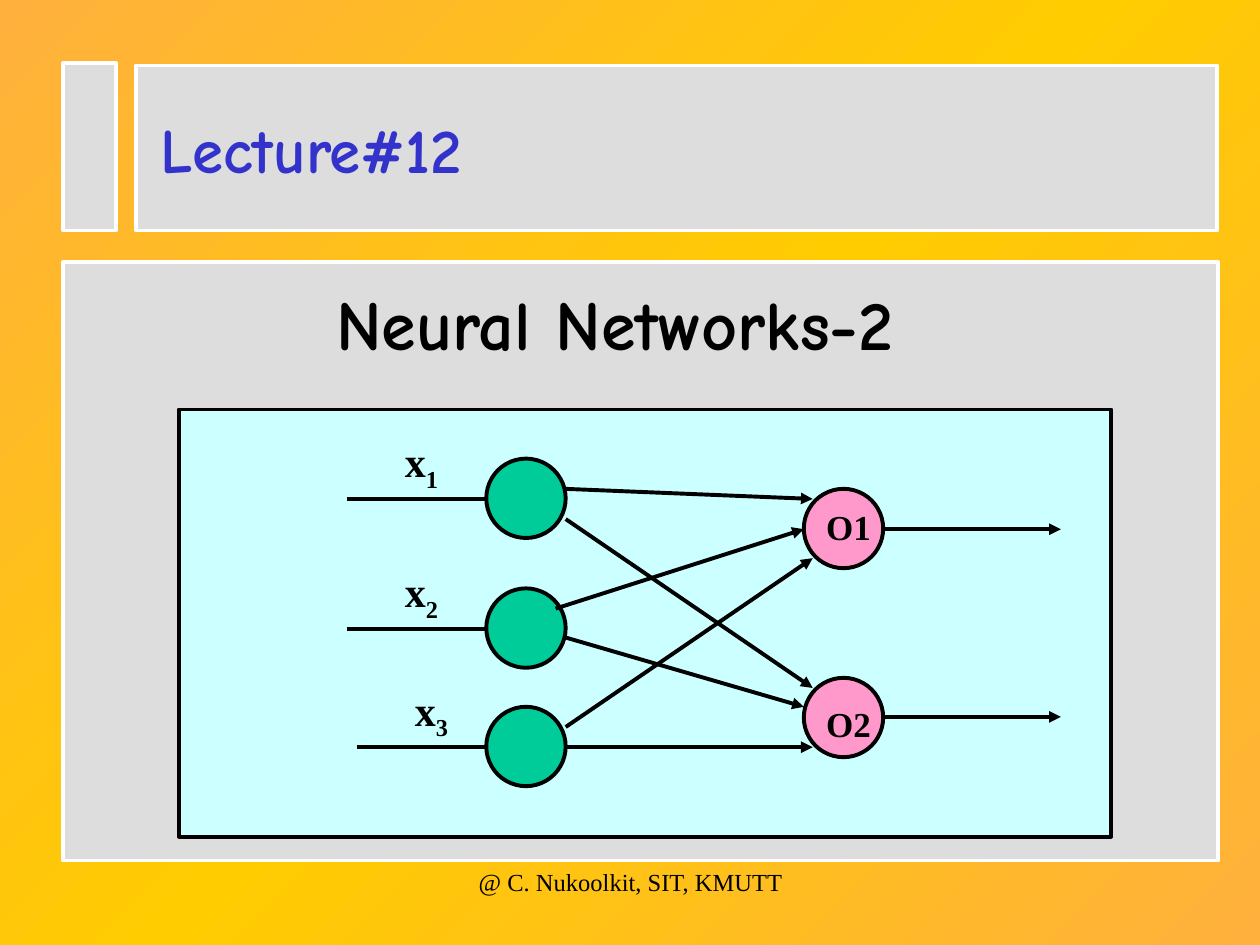
from copy import deepcopy
from dataclasses import dataclass

from lxml import etree
from pptx import Presentation
from pptx.dml import color
from pptx.enum import shapes, text
from pptx.oxml import ns
from pptx.util import Inches, Pt


@dataclass(frozen=True)
class Theme:
    """Colours, fonts and type sizes."""
    edge: str = "FFB03D"
    middle: str = "FFCC00"
    panel: str = "DDDDDD"
    white: str = "FFFFFF"
    ink: str = "000000"
    title: str = "3333CC"
    canvas: str = "CCFFFF"
    input: str = "00CC99"
    output: str = "FF99CC"
    display: str = "Comic Neue"
    body: str = "Times New Roman"
    title_size: int = 36
    heading_size: int = 40
    input_size: int = 24
    output_size: int = 20
    footer_size: int = 14
    line: float = 2.25


def rgb(value):
    """Turn a hex string into a colour."""
    return color.RGBColor.from_string(value)


def write(p, content, *, font, size, ink, bold=True, subscript=False):
    """Add a formatted run to a paragraph."""
    r = p.add_run()
    r.text = content
    r.font.name, r.font.size, r.font.bold = font, Pt(size), bold
    r.font.color.rgb = rgb(ink)
    if subscript:
        r.font._element.set("baseline", "-25000")


class Deck:
    """Holds the theme and the current slide."""

    def __init__(self, prs, theme):
        """Add a title-only slide."""
        self.theme = theme
        self.s = prs.slides.add_slide(prs.slide_layouts[5])

    def background(self):
        """Paint the diagonal three-stop gradient."""
        fill = self.s.background.fill
        fill.gradient()
        fill.gradient_angle = 315
        first = fill.gradient_stops[0]._gs
        first.addnext(deepcopy(first))
        t = self.theme
        for stop, position, value in zip(fill.gradient_stops, (0, 0.5, 1), (t.edge, t.middle, t.edge)):
            stop.position = position
            stop.color.rgb = rgb(value)

    def shape(self, kind, box, fill, line):
        """Draw a filled and outlined preset shape."""
        sp = self.s.shapes.add_shape(kind, *map(Inches, box))
        sp.shadow.inherit = False
        sp.fill.solid()
        sp.fill.fore_color.rgb = rgb(fill)
        sp.line.color.rgb = rgb(line)
        sp.line.width = Pt(self.theme.line)

    def rect(self, box, fill, line):
        """Draw a rectangle."""
        self.shape(shapes.MSO_SHAPE.RECTANGLE, box, fill, line)

    def node(self, x, y, fill):
        """Draw a round neuron."""
        self.shape(shapes.MSO_SHAPE.OVAL, (x, y, 0.63, 0.63), fill, self.theme.ink)

    def line(self, start, end, arrow=True):
        """Draw a straight line, with an arrowhead if wanted."""
        sp = self.s.shapes.add_connector(shapes.MSO_CONNECTOR.STRAIGHT, *map(Inches, start + end))
        sp.line.color.rgb = rgb(self.theme.ink)
        sp.line.width = Pt(self.theme.line)
        if arrow:
            etree.SubElement(sp.line._get_or_add_ln(), ns.qn("a:tailEnd"), type="triangle")
        etree.SubElement(sp._element.spPr, ns.qn("a:effectLst"))

    def frame(self, sp, align):
        """Set up a text frame and return its first paragraph."""
        tf = sp.text_frame
        tf.word_wrap = True
        tf.auto_size = text.MSO_AUTO_SIZE.NONE
        tf.vertical_anchor = text.MSO_ANCHOR.TOP
        p = tf.paragraphs[0]
        p.alignment = align
        return p

    def title(self, box, content):
        """Place the title above what is drawn so far."""
        sp = self.s.shapes.title
        sp.left, sp.top, sp.width, sp.height = map(Inches, box)
        self.s.shapes._spTree.append(sp._element)
        t = self.theme
        write(self.frame(sp, text.PP_ALIGN.LEFT), content, font=t.display, size=t.title_size, ink=t.title)

    def label(self, box, content, size, font=None, bold=True, subscript=""):
        """Add a centred text box."""
        sp = self.s.shapes.add_textbox(*map(Inches, box))
        p = self.frame(sp, text.PP_ALIGN.CENTER)
        style = dict(font=font or self.theme.body, size=size, ink=self.theme.ink, bold=bold)
        write(p, content, **style)
        if subscript:
            write(p, subscript, subscript=True, **style)


def main():
    """Build the lecture title slide."""
    prs = Presentation()
    prs.slide_width, prs.slide_height = Inches(10), Inches(7.5)
    t = Theme()
    deck = Deck(prs, t)
    deck.background()

    deck.rect((1.08, 0.52, 8.58, 1.31), t.panel, t.white)
    deck.title((1.17, 0.83, 7.92, 0.7), "Lecture#12")
    deck.rect((0.5, 2.08, 9.17, 4.75), t.panel, t.white)
    deck.rect((0.5, 0.5, 0.42, 1.33), t.panel, t.white)
    deck.label((0.43, 2.18, 8.9, 0.77), "Neural Networks-2", t.heading_size, t.display)
    deck.rect((1.42, 3.25, 7.4, 3.39), t.canvas, t.ink)

    inputs = ((2.75, 3.64), (2.75, 4.67), (2.83, 5.61))
    outputs = ((3.88, 4.2, 3.96), (5.38, 5.69, 5.53))
    for _, y in inputs:
        deck.node(3.86, y, t.input)
    for y, _, _ in outputs:
        deck.node(6.38, y, t.output)

    for x, y in inputs:
        deck.line((x, y + 0.32), (3.86, y + 0.32), arrow=False)
    weights = (
        ((4.49, 3.88), (6.45, 3.96)),
        ((4.49, 4.12), (6.45, 5.46)),
        ((4.41, 4.83), (6.38, 4.2)),
        ((4.49, 5.06), (6.38, 5.61)),
        ((4.49, 5.77), (6.45, 4.43)),
        ((4.49, 5.93), (6.45, 5.93)),
    )
    for start, end in weights:
        deck.line(start, end)
    for _, y, _ in outputs:
        deck.line((7.01, y), (8.42, y))

    for i, (x, y) in enumerate(inputs, 1):
        deck.label((x + 0.32, y - 0.23, 0.55, 0.56), "x", t.input_size, subscript=str(i))
    for i, (_, _, y) in enumerate(outputs, 1):
        deck.label((6.3, y, 0.87, 0.44), f"O{i}", t.output_size)
    deck.label((3.42, 6.83, 3.17, 0.5), "@ C. Nukoolkit, SIT, KMUTT", t.footer_size, bold=False)

    prs.save("out.pptx")


if __name__ == "__main__":
    main()
